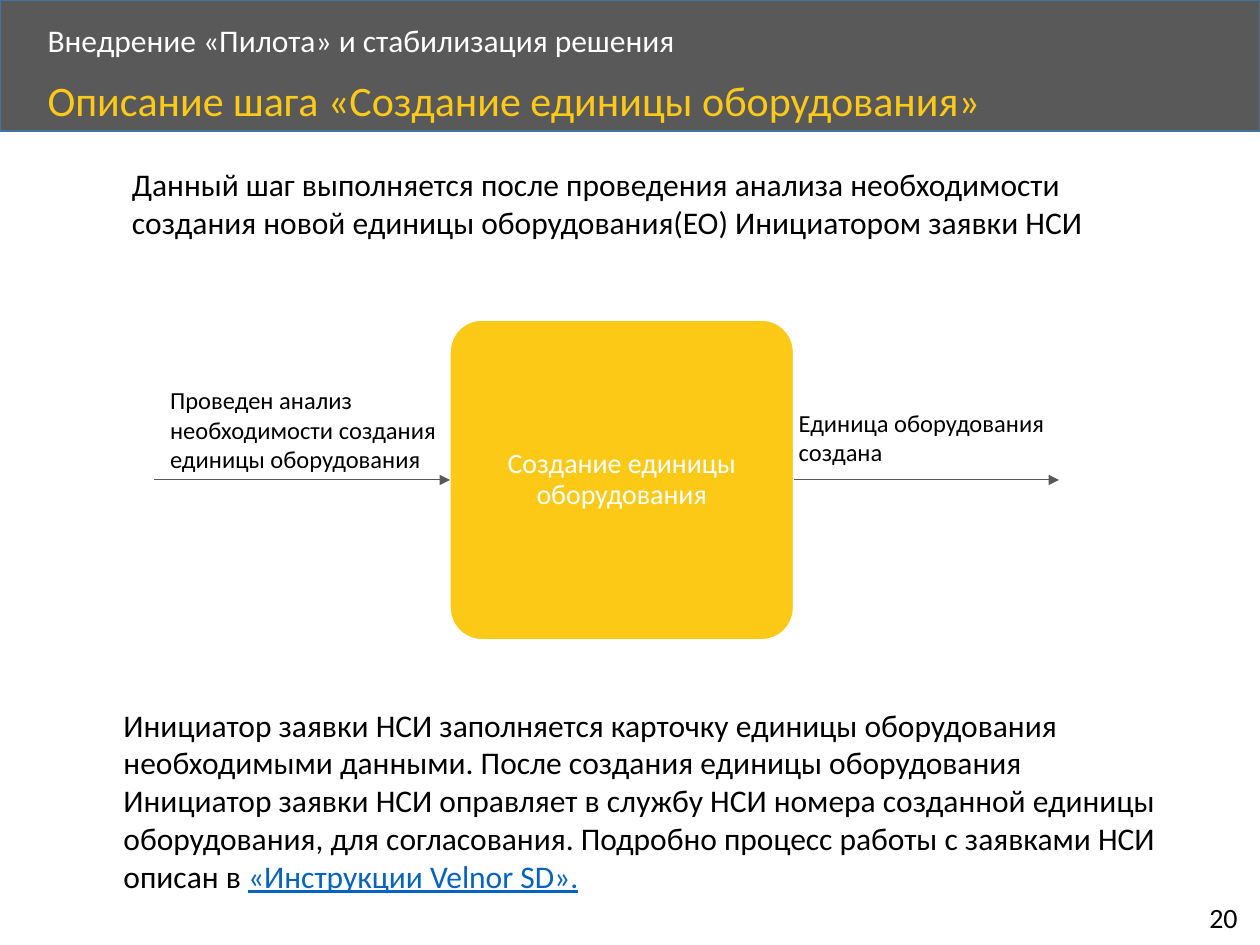
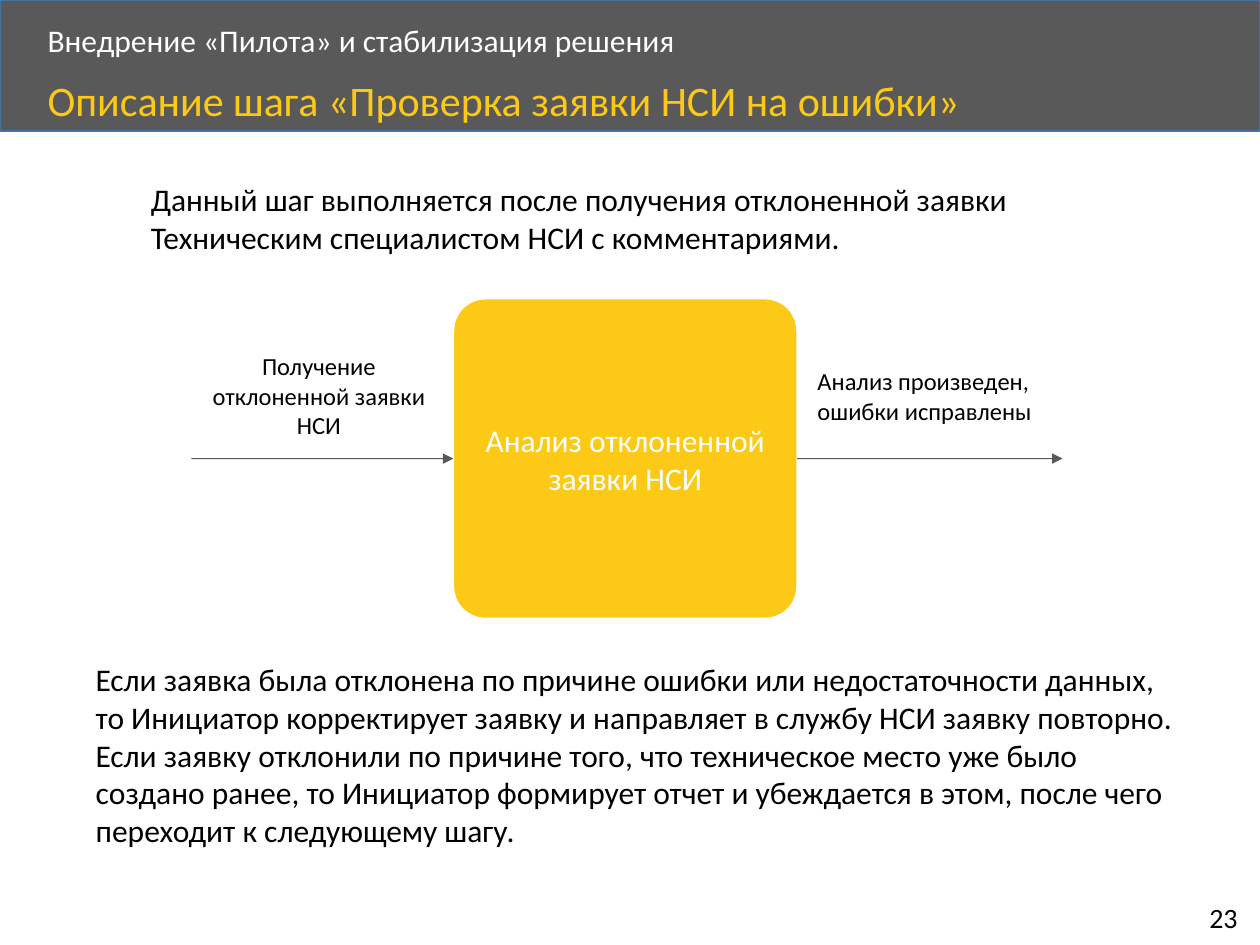
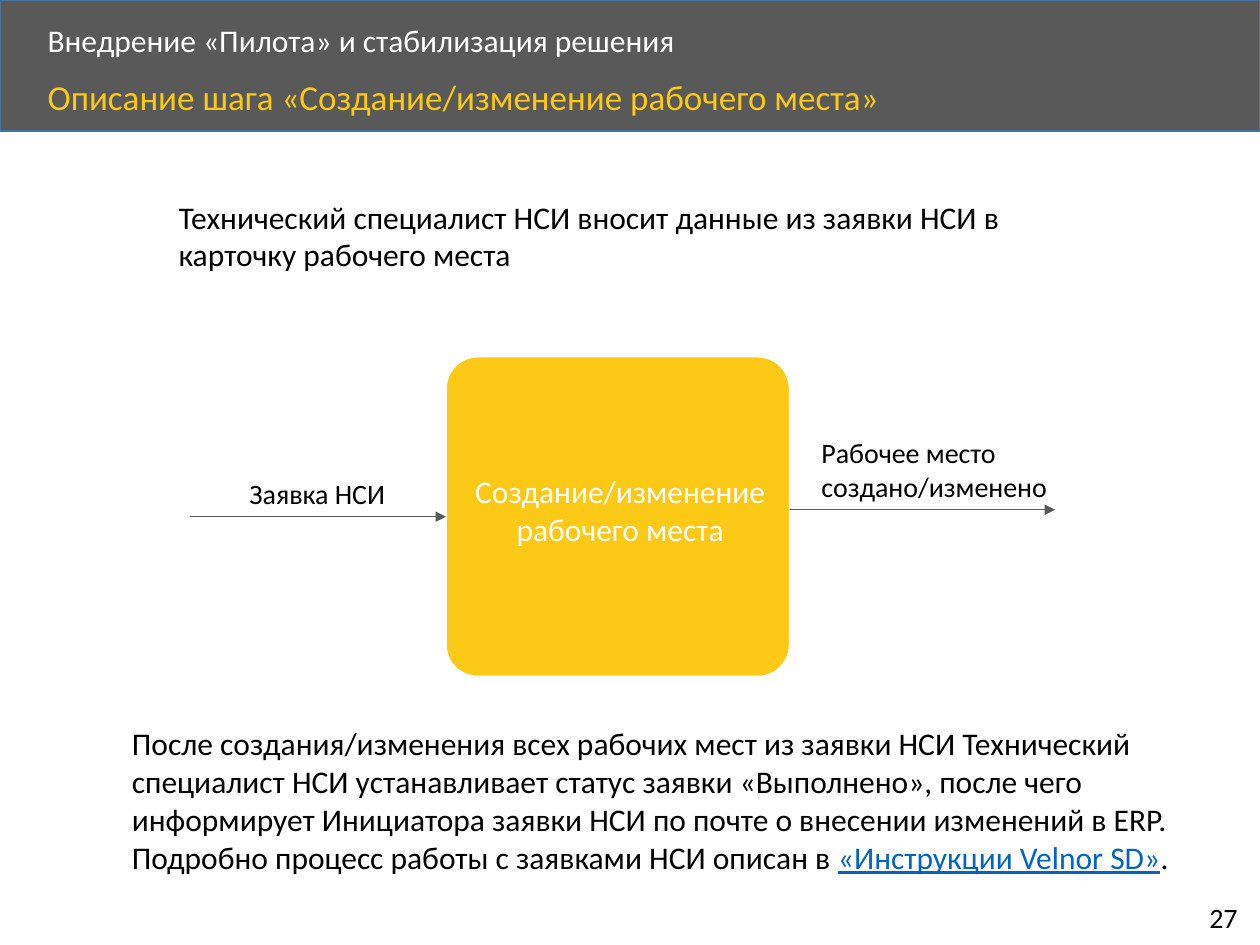
from lxml.etree import SubElement
from pptx import Presentation
from pptx.dml.color import RGBColor
from pptx.enum.shapes import MSO_CONNECTOR, MSO_SHAPE
from pptx.enum.text import MSO_ANCHOR, PP_ALIGN
from pptx.oxml.ns import qn
from pptx.util import Cm, Pt

FONT = "Calibri"
COLORS = {
    "band": "595959",
    "band_line": "43739E",
    "accent": "FCC917",
    "white": "FFFFFF",
    "text": "000000",
    "link": "0563C1",
}
SLIDE_W, SLIDE_H = 25.4, 19.05
STEP_W, STEP_H = 6.93, 6.45
OUT_LENGTH = 5.35
PROJECT = "Внедрение «Пилота» и стабилизация решения"

# Boxes are (left, top, width, height) in cm; label boxes start from the step's corner.
STEPS = [
    dict(
        page=20,
        title="Описание шага «Создание единицы оборудования»",
        intro=dict(
            text="Данный шаг выполняется после проведения анализа необходимости создания "
                 "новой единицы оборудования(ЕО) Инициатором заявки НСИ",
            box=(2.41, 3.2, 20.68, 1.8)),
        step=dict(text="Создание единицы оборудования", size=16, spacing=0.9),
        corner=(9.07, 6.45),
        in_length=5.97,
        label_in=dict(text="Проведен анализ необходимости создания единицы оборудования",
                      box=(-5.89, 1.19, 6.12, 2.06), size=14),
        label_out=dict(text="Единица оборудования создана",
                       box=(6.78, 1.65, 5.51, 1.45), size=14),
        detail=dict(
            text=["Инициатор заявки НСИ заполняется карточку единицы оборудования "
                  "необходимыми данными. После создания единицы оборудования Инициатор "
                  "заявки НСИ оправляет в службу НСИ номера созданной единицы "
                  "оборудования, для согласования. Подробно процесс работы c заявками "
                  "НСИ описан в ",
                  ("«Инструкции Velnor SD».", "link")],
            box=(2.24, 14.1, 21.46, 4.88)),
    ),
    dict(
        page=23,
        title="Описание шага «Проверка заявки НСИ на ошибки»",
        intro=dict(
            text="Данный шаг выполняется после получения отклоненной заявки Техническим "
                 "специалистом НСИ с комментариями.",
            box=(2.79, 3.51, 20.24, 1.8)),
        step=dict(text="Анализ отклоненной заявки НСИ"),
        corner=(9.14, 6.02),
        in_length=5.28,
        label_in=dict(text="Получение отклоненной заявки НСИ",
                      box=(-5.21, 0.94, 5, 2.06), size=14, align=PP_ALIGN.CENTER),
        label_out=dict(text="Анализ произведен, ошибки исправлены",
                       box=(7.09, 1.24, 5.21, 1.45), size=14),
        detail=dict(
            text="Если заявка была отклонена по причине ошибки или недостаточности данных, "
                 "то Инициатор корректирует заявку и направляет в службу НСИ заявку "
                 "повторно. Если заявку отклонили по причине того, что техническое место "
                 "уже было создано ранее, то Инициатор формирует отчет и убеждается в "
                 "этом, после чего переходит к следующему шагу.",
            box=(1.68, 13.18, 22.48, 4.11)),
    ),
    dict(
        page=27,
        title="Описание шага «Создание/изменение рабочего места»",
        title_size=20,
        intro=dict(
            text="Технический специалист НСИ вносит данные из заявки НСИ в карточку "
                 "рабочего места",
            box=(3.35, 3.86, 18.24, 1.8)),
        step=dict(text="Создание/изменение рабочего места", insets=(0.1, 0, 0, 0.28)),
        corner=(8.99, 7.19),
        in_length=5.16,
        out_rise=0.14,
        label_in=dict(text="Заявка НСИ", box=(-4.21, 2.29, 3.53, 0.94), size=16),
        label_out=dict(text="Рабочее место создано/изменено",
                       box=(7.32, 1.47, 5.56, 1.63), size=16),
        detail=dict(
            text=["После создания/изменения всех рабочих мест из заявки НСИ Технический "
                  "специалист НСИ устанавливает статус заявки «Выполнено», после чего "
                  "информирует Инициатора заявки НСИ по почте о внесении изменений в ERP. "
                  "Подробно процесс работы c заявками НСИ описан в ",
                  ("«Инструкции Velnor SD»", "link"),
                  "."],
            box=(2.41, 14.48, 21.62, 4.88)),
    ),
]


def rgb(name):
    return RGBColor.from_string(COLORS[name])


def write(tf, text, size=18, color="text", align=PP_ALIGN.LEFT, spacing=1.0,
          anchor=MSO_ANCHOR.TOP, wrap=True, insets=None):
    """Fill a frame; text is a string or a list of strings and (string, "link") pairs."""
    tf.word_wrap = wrap
    tf.vertical_anchor = anchor
    if insets:
        tf.margin_left, tf.margin_top, tf.margin_right, tf.margin_bottom = map(Cm, insets)
    p = tf.paragraphs[0]
    p.alignment = align
    p.line_spacing = spacing
    for part in [text] if isinstance(text, str) else text:
        words, run_color = (part, color) if isinstance(part, str) else part
        r = p.add_run()
        r.text = words
        r.font.name = FONT
        r.font.size = Pt(size)
        r.font.color.rgb = rgb(run_color)
        if run_color == "link":
            r.font.underline = True


def add_text(s, text, box, origin=(0, 0), **fmt):
    left, top, width, height = box
    tb = s.shapes.add_textbox(Cm(origin[0] + left), Cm(origin[1] + top), Cm(width), Cm(height))
    write(tb.text_frame, text, **fmt)


def add_block(s, kind, box, fill, line):
    sp = s.shapes.add_shape(kind, *map(Cm, box))
    sp.shadow.inherit = False
    sp.fill.solid()
    sp.fill.fore_color.rgb = rgb(fill)
    sp.line.color.rgb = rgb(line)
    sp.line.width = Pt(1)
    return sp


def add_arrow(s, left, right, y):
    cx = s.shapes.add_connector(MSO_CONNECTOR.STRAIGHT, Cm(left), Cm(y), Cm(right), Cm(y))
    cx.line.color.rgb = rgb("band")
    cx.line.width = Pt(0.5)
    SubElement(cx.line._get_or_add_ln(), qn("a:tailEnd"), type="triangle")
    SubElement(cx._element.spPr, qn("a:effectLst"))
    return cx


def add_frame(s, title, page, title_size=24):
    """Header band with both headings, and the page number."""
    add_block(s, MSO_SHAPE.RECTANGLE, (0, 0, SLIDE_W, 2.64), "band", "band_line")
    add_text(s, PROJECT, (0.71, 0.36, 20.5, 0.97), color="white", spacing=0.9,
             anchor=MSO_ANCHOR.MIDDLE)
    add_text(s, title, (0.71, 1.5, 22.02, 1.14), size=title_size, color="accent", spacing=0.9)
    add_text(s, str(page), (SLIDE_W - 1.27, SLIDE_H - 1.02, 1.17, 0.94), size=16, wrap=False)


def add_diagram(s, corner, step, in_length, label_in, label_out, out_rise=0):
    """Step box at corner with its incoming and outgoing arrows and their labels."""
    left, top = corner
    right, middle = left + STEP_W, top + STEP_H / 2
    sp = add_block(s, MSO_SHAPE.ROUNDED_RECTANGLE, (left, top, STEP_W, STEP_H),
                   "accent", "white")
    sp.adjustments[0] = 0.1
    fmt = dict(insets=(0, 0, 0, 0), color="white", align=PP_ALIGN.CENTER,
               anchor=MSO_ANCHOR.MIDDLE)
    write(sp.text_frame, **{**fmt, **step})

    add_arrow(s, left - in_length, left, middle).end_connect(sp, 1)
    arrow_out = add_arrow(s, right, right + OUT_LENGTH, middle - out_rise)
    if not out_rise:
        arrow_out.begin_connect(sp, 3)
    for label in (label_in, label_out):
        add_text(s, origin=corner, **label)


def add_step_slide(prs, page, title, intro, detail, title_size=24, **diagram):
    s = prs.slides.add_slide(prs.slide_layouts[6])
    add_frame(s, title, page, title_size)
    add_text(s, **intro)
    add_diagram(s, **diagram)
    add_text(s, **detail)


def main():
    prs = Presentation()
    prs.slide_width, prs.slide_height = Cm(SLIDE_W), Cm(SLIDE_H)
    for step in STEPS:
        add_step_slide(prs, **step)
    prs.save("out.pptx")


if __name__ == "__main__":
    main()
